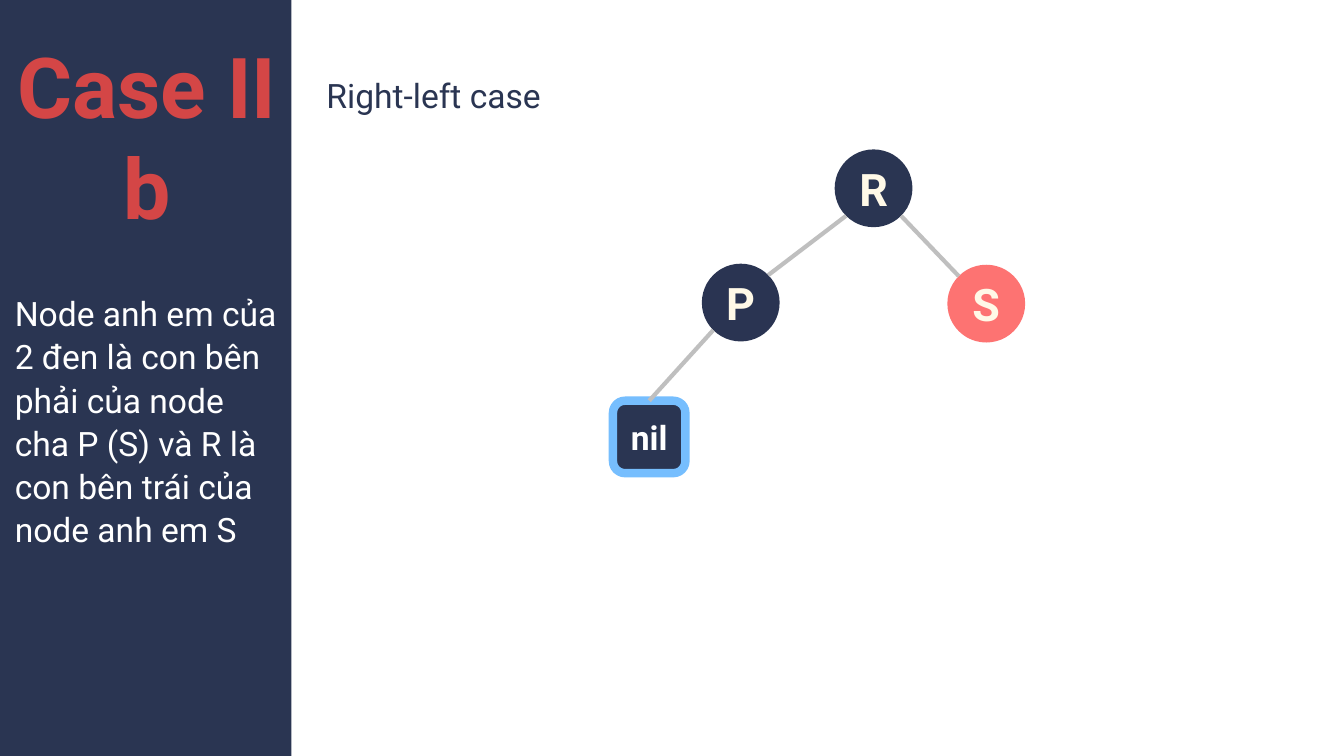
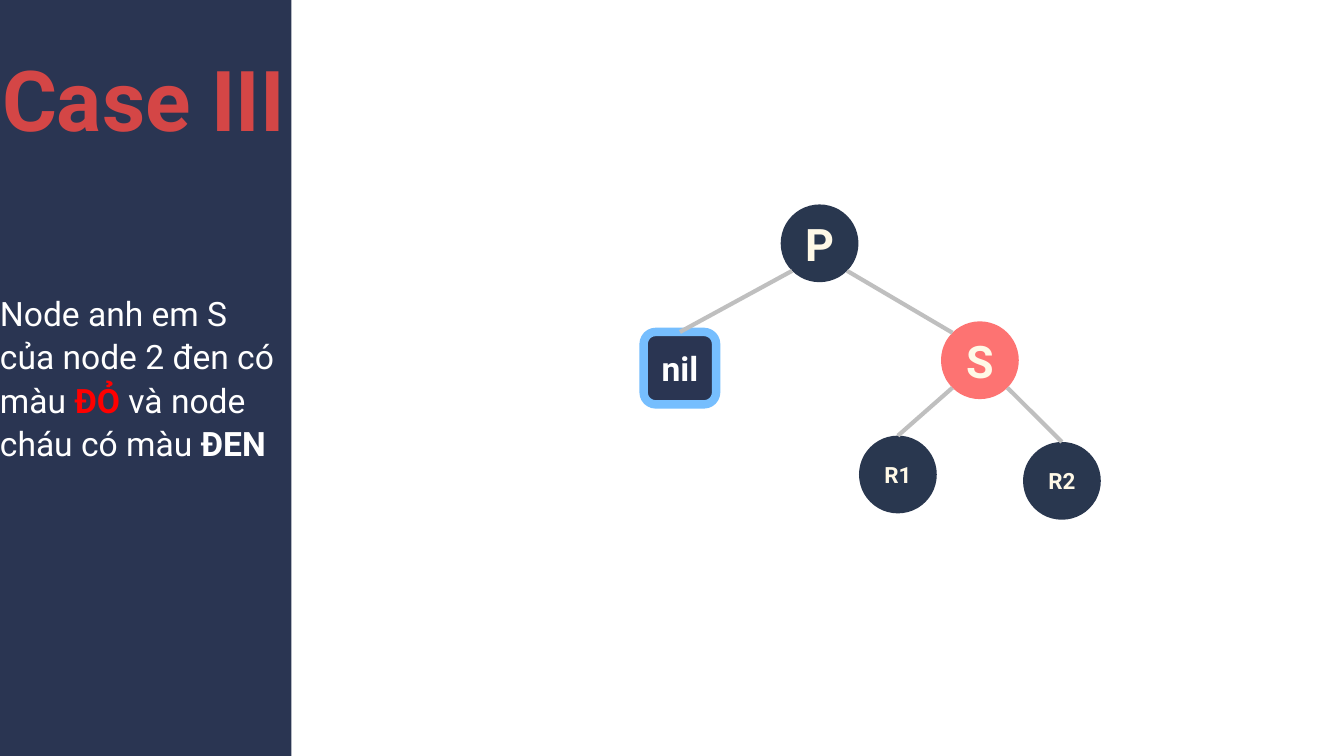
from dataclasses import dataclass
from math import sqrt

from lxml.etree import SubElement
from pptx import Presentation
from pptx.dml.color import RGBColor
from pptx.enum.shapes import MSO_CONNECTOR, MSO_SHAPE
from pptx.enum.text import MSO_ANCHOR, MSO_AUTO_SIZE, PP_ALIGN
from pptx.oxml.ns import qn
from pptx.shapes.autoshape import Shape
from pptx.slide import Slide
from pptx.text.text import TextFrame
from pptx.util import Cm, Length, Pt


@dataclass(frozen=True)
class Theme:
    font: str = "Roboto"
    navy: str = "2A3552"
    indigo: str = "2A3452"
    slate: str = "29374F"
    coral: str = "FD7372"
    heading: str = "D44646"
    alert: str = "FF0000"
    white: str = "FFFFFF"
    cream: str = "FFF9E7"
    halo: str = "76BEFE"
    branch: str = "BFBFBF"
    heading_size: float = 45
    key_size: float = 24
    body_size: float = 18
    small_size: float = 12
    branch_width: float = 2.25
    halo_width: float = 4.5


THEME = Theme()
NODE_SIZE = 1.47
NIL_SIZE = 1.37


@dataclass(frozen=True)
class Run:
    text: str
    color: str | None = None
    bold: bool = False


@dataclass(frozen=True)
class Box:
    left: float
    top: float
    width: float
    height: float

    def lengths(self) -> tuple[Length, ...]:
        return Cm(self.left), Cm(self.top), Cm(self.width), Cm(self.height)


@dataclass(frozen=True)
class Node:
    label: str
    x: float
    y: float
    fill: str = THEME.navy
    size: float = THEME.key_size

    @property
    def is_nil(self) -> bool:
        return self.label == "nil"

    @property
    def diameter(self) -> float:
        return NIL_SIZE if self.is_nil else NODE_SIZE

    def top(self) -> tuple[float, float]:
        return self.x, self.y - self.diameter / 2

    def corner(self, across: int, down: int) -> tuple[float, float]:
        reach = self.diameter / 2 / sqrt(2)
        return self.x + across * reach, self.y + down * reach


@dataclass(frozen=True)
class Branch:
    parent: str
    child: str
    to_top: bool = True


@dataclass(frozen=True)
class Case:
    heading: list[str]
    heading_box: Box
    explanation: list[Run]
    explanation_box: Box
    nodes: list[Node]
    branches: list[Branch]
    heading_spacing: Length | None = None
    caption: str | None = None


SIDEBAR = Box(-0.08, -0.02, 5.59, 14.4)
CAPTION = Box(5.92, 1.3, 4.95, 1.02)

CASES = [
    Case(
        heading=["Case II", "b"],
        heading_box=Box(0.28, 0.66, 5, 3.84),
        explanation=[Run("Node anh em của 2 đen là con bên phải của node cha P (S) "
                         "và R là con bên trái của node anh em S")],
        explanation_box=Box(0.28, 5.49, 5, 4.88),
        nodes=[
            Node("P", 14, 5.72, THEME.indigo),
            Node("S", 18.64, 5.74, THEME.coral),
            Node("nil", 12.27, 8.26),
            Node("R", 16.51, 3.56),
        ],
        branches=[Branch("P", "nil"), Branch("R", "P", False), Branch("R", "S", False)],
        caption="Right-left case",
    ),
    Case(
        heading=["Case III"],
        heading_box=Box(-0.08, 0.58, 5.59, 2.08),
        heading_spacing=Pt(63),
        explanation=[
            Run("Node anh em S của node 2 đen có màu "),
            Run("ĐỎ", THEME.alert, True),
            Run(" và node cháu có màu "),
            Run("ĐEN", bold=True),
        ],
        explanation_box=Box(0, 5.49, 5.28, 3.25),
        nodes=[
            Node("P", 15.49, 4.6, THEME.slate),
            Node("S", 18.52, 6.81, THEME.coral),
            Node("nil", 12.85, 6.96),
            Node("R1", 16.97, 8.97, THEME.slate, THEME.small_size),
            Node("R2", 20.07, 9.09, THEME.slate, THEME.small_size),
        ],
        branches=[Branch("P", "nil"), Branch("P", "S", False),
                  Branch("S", "R1"), Branch("S", "R2")],
    ),
]


def write(frame: TextFrame, paragraphs: list[list[Run]], *, size: float, color: str,
          bold: bool = False, align: PP_ALIGN = PP_ALIGN.LEFT,
          spacing: float | Length | None = None, wrap: bool = True,
          inset: bool = False) -> None:
    frame.word_wrap = wrap
    if not inset:
        frame.margin_left = frame.margin_right = Cm(0)
        frame.margin_top = frame.margin_bottom = Cm(0)
    for index, runs in enumerate(paragraphs):
        paragraph = frame.add_paragraph() if index else frame.paragraphs[0]
        paragraph.alignment = align
        if spacing is not None:
            paragraph.line_spacing = spacing
        for part in runs:
            run = paragraph.add_run()
            run.text = part.text
            run.font.name = THEME.font
            run.font.size = Pt(size)
            run.font.bold = bold or part.bold
            run.font.color.rgb = RGBColor.from_string(part.color or color)


def add_text_frame(slide: Slide, box: Box) -> TextFrame:
    frame = slide.shapes.add_textbox(*box.lengths()).text_frame
    frame.auto_size = MSO_AUTO_SIZE.SHAPE_TO_FIT_TEXT
    return frame


def add_filled(slide: Slide, preset: MSO_SHAPE, box: Box, fill: str) -> Shape:
    shape = slide.shapes.add_shape(preset, *box.lengths())
    shape.shadow.inherit = False
    shape.fill.solid()
    shape.fill.fore_color.rgb = RGBColor.from_string(fill)
    shape.line.fill.background()
    return shape


def draw_node(slide: Slide, node: Node) -> None:
    side = node.diameter
    preset = MSO_SHAPE.ROUNDED_RECTANGLE if node.is_nil else MSO_SHAPE.OVAL
    box = Box(node.x - side / 2, node.y - side / 2, side, side)
    shape = add_filled(slide, preset, box, node.fill)
    if node.is_nil:
        shape.line.color.rgb = RGBColor.from_string(THEME.halo)
        shape.line.width = Pt(THEME.halo_width)
    shape.text_frame.vertical_anchor = MSO_ANCHOR.MIDDLE
    write(shape.text_frame, [[Run(node.label)]],
          size=THEME.body_size if node.is_nil else node.size,
          color=THEME.white if node.is_nil else THEME.cream,
          bold=True, align=PP_ALIGN.CENTER, wrap=False)


def draw_branch(slide: Slide, parent: Node, child: Node, to_top: bool) -> None:
    side = 1 if child.x > parent.x else -1
    start = parent.corner(side, 1)
    end = child.top() if to_top else child.corner(-side, -1)
    line = slide.shapes.add_connector(
        MSO_CONNECTOR.STRAIGHT, *(Cm(value) for value in start + end))
    line.line.color.rgb = RGBColor.from_string(THEME.branch)
    line.line.width = Pt(THEME.branch_width)
    SubElement(line._element.spPr, qn("a:effectLst"))


def draw_case(slide: Slide, case: Case) -> None:
    add_filled(slide, MSO_SHAPE.RECTANGLE, SIDEBAR, THEME.navy)
    write(add_text_frame(slide, case.explanation_box), [case.explanation],
          size=THEME.body_size, color=THEME.white, spacing=1.07)
    write(add_text_frame(slide, case.heading_box), [[Run(text)] for text in case.heading],
          size=THEME.heading_size, color=THEME.heading, bold=True,
          align=PP_ALIGN.CENTER, spacing=case.heading_spacing)
    for node in case.nodes:
        draw_node(slide, node)
    by_label = {node.label: node for node in case.nodes}
    for branch in case.branches:
        draw_branch(slide, by_label[branch.parent], by_label[branch.child], branch.to_top)
    if case.caption:
        write(add_text_frame(slide, CAPTION), [[Run(case.caption)]],
              size=THEME.body_size, color=THEME.navy, inset=True)


def main() -> None:
    deck = Presentation()
    deck.slide_width = Cm(25.4)
    deck.slide_height = Cm(14.29)
    blank = deck.slide_layouts[6]
    for case in CASES:
        draw_case(deck.slides.add_slide(blank), case)
    deck.save("out.pptx")


if __name__ == "__main__":
    main()
